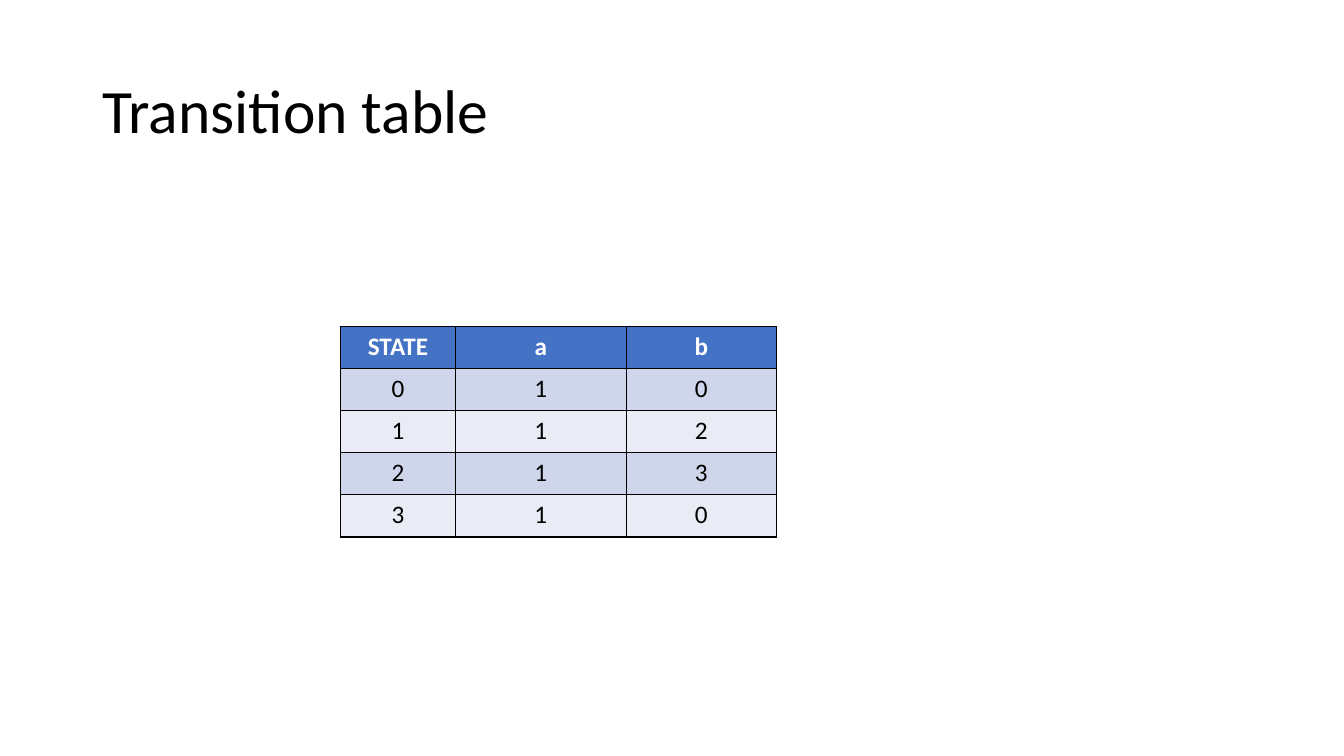
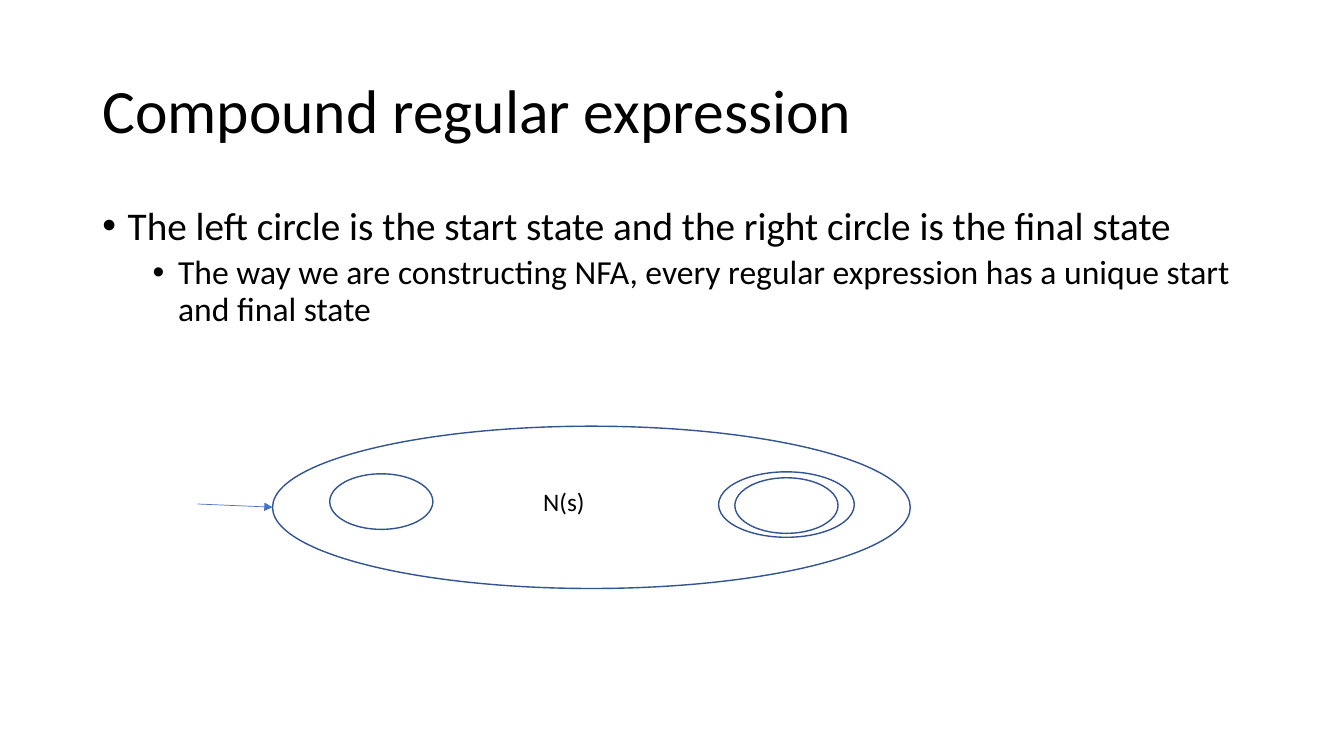
"""Build two slides on finite automata."""
from dataclasses import dataclass

from lxml import etree
from pptx import Presentation
from pptx import util as u
from pptx.dml import color
from pptx.enum import shapes, text
from pptx.oxml import ns


@dataclass(frozen=True)
class Theme:
    """Hold the colours, font and type sizes."""
    face: str = "Calibri"
    ink: str = "000000"
    white: str = "FFFFFF"
    blue: str = "4472C4"
    edge: str = "325491"
    bands: tuple = ("CFD5EA", "E9EBF5")
    title: int = 44
    body: tuple = (28, 24)
    small: int = 18


def rgb(code):
    """Turn a hex code into a colour."""
    return color.RGBColor.from_string(code)


def add(node, tag, **attrs):
    """Append a child element with attributes."""
    return etree.SubElement(node, ns.qn(tag), attrs)


class Deck:
    """Draw styled elements on the current slide."""

    def __init__(self, theme):
        """Start an empty wide deck."""
        self.theme = theme
        self.file = Presentation()
        self.file.slide_width = u.Cm(33.87)
        self.file.slide_height = u.Cm(19.05)

    def page(self, title):
        """Add a blank slide with a title."""
        self.slide = self.file.slides.add_slide(self.file.slide_layouts[6])
        frame = self.frame(2.33, 1.01, 29.21, 3.68)
        frame.vertical_anchor = text.MSO_ANCHOR.MIDDLE
        line = frame.paragraphs[0]
        line.line_spacing = 0.9
        self.style(line, title, self.theme.title)

    def frame(self, left, top, width, height):
        """Add a wrapping text box and return its frame."""
        box = self.slide.shapes.add_textbox(*map(u.Cm, (left, top, width, height)))
        box.text_frame.word_wrap = True
        return box.text_frame

    def style(self, line, words, size, code=None, bold=False):
        """Fill a paragraph and set its font."""
        line.text = words
        font = line.font
        font.name = self.theme.face
        font.size = u.Pt(size)
        font.bold = bold
        font.color.rgb = rgb(code or self.theme.ink)

    def label(self, words, *place):
        """Add a small text label."""
        self.style(self.frame(*place).paragraphs[0], words, self.theme.small)

    def bullets(self, items, *place):
        """Add a list of (level, words) items."""
        frame = self.frame(*place)
        for rank, (level, words) in enumerate(items):
            line = frame.add_paragraph() if rank else frame.paragraphs[0]
            line.level = level
            props = line._p.get_or_add_pPr()
            props.set("marL", str(u.Cm(0.64 + 1.27 * level)))
            props.set("indent", str(u.Cm(-0.64)))
            add(props, "a:buFont", typeface="Arial")
            add(props, "a:buChar", char="•")
            line.line_spacing = 0.9
            if rank:
                line.space_before = u.Pt(5 if level else 10)
            self.style(line, words, self.theme.body[level])

    def table(self, rows, left, top, widths, height):
        """Add a banded table with a header row."""
        theme = self.theme
        size = map(u.Cm, (left, top, sum(widths), height * len(rows)))
        grid = self.slide.shapes.add_table(len(rows), len(widths), *size).table
        for col, width in zip(grid.columns, widths):
            col.width = u.Cm(width)
        for rank, row in enumerate(rows):
            grid.rows[rank].height = u.Cm(height)
            head = rank == 0
            back = theme.blue if head else theme.bands[(rank - 1) % 2]
            for spot, words in enumerate(row):
                cell = grid.cell(rank, spot)
                cell.fill.solid()
                cell.fill.fore_color.rgb = rgb(back)
                line = cell.text_frame.paragraphs[0]
                line.alignment = text.PP_ALIGN.CENTER
                self.style(line, words, theme.small,
                           theme.white if head else theme.ink, head)
                self.border(cell)

    def border(self, cell):
        """Draw a thin line on each side of a cell."""
        props = cell._tc.get_or_add_tcPr()
        for rank, side in enumerate("LRTB"):
            edge = add(props, f"a:ln{side}", w=str(u.Pt(1)))
            add(add(edge, "a:solidFill"), "a:srgbClr", val=self.theme.ink)
            props.insert(rank, edge)

    def oval(self, *place):
        """Add a hollow ellipse."""
        ring = self.slide.shapes.add_shape(shapes.MSO_SHAPE.OVAL, *map(u.Cm, place))
        ring.shadow.inherit = False
        ring.fill.background()
        ring.line.color.rgb = rgb(self.theme.edge)
        ring.line.width = u.Pt(1)

    def arrow(self, *ends):
        """Add a thin straight arrow."""
        link = self.slide.shapes.add_connector(
            shapes.MSO_CONNECTOR.STRAIGHT, *map(u.Cm, ends))
        link.line.color.rgb = rgb(self.theme.blue)
        link.line.width = u.Pt(0.5)
        add(link.line._get_or_add_ln(), "a:tailEnd", type="triangle")
        add(link._element.spPr, "a:effectLst")


def main():
    """Build and save the deck."""
    deck = Deck(Theme())

    deck.page("Transition table")
    rows = ["STATE", "a", "b"], "010", "112", "213", "310"
    deck.table(rows, 8.58, 8.23, (2.9, 4.3, 3.79), 1.06)

    deck.page("Compound regular expression")
    deck.bullets([
        (0, "The left circle is the start state and the right circle is the final state"),
        (1, "The way we are constructing NFA, every regular expression "
            "has a unique start and final state"),
    ], 2.33, 5.08, 29.21, 12.1)
    for place in ((6.87, 10.74, 16.07, 4.09), (8.31, 11.94, 2.6, 1.4),
                  (18.52, 12.04, 2.6, 1.4), (18.11, 11.89, 3.42, 1.65)):
        deck.oval(*place)
    deck.label("N(s)", 13.44, 12.12, 3.15, 1.02)
    deck.arrow(4.98, 12.7, 6.87, 12.78)

    deck.file.save("out.pptx")


if __name__ == "__main__":
    main()
